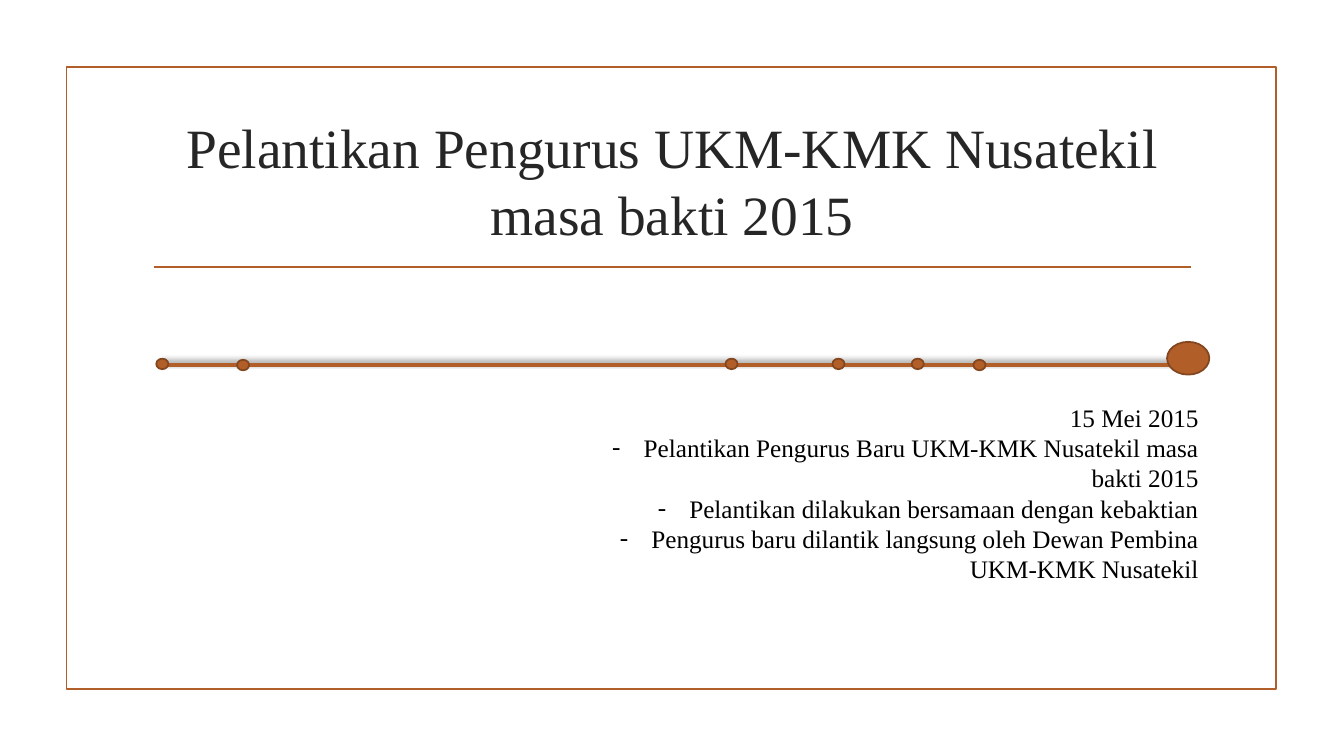
from lxml import etree
from pptx import Presentation
from pptx.dml.color import RGBColor
from pptx.enum.shapes import MSO_CONNECTOR, MSO_SHAPE
from pptx.enum.text import MSO_ANCHOR, PP_ALIGN
from pptx.oxml.ns import qn
from pptx.util import Pt

STRAIGHT = MSO_CONNECTOR.STRAIGHT
RECTANGLE = MSO_SHAPE.RECTANGLE
DOT = MSO_SHAPE.FLOWCHART_CONNECTOR
MIDDLE, TOP = MSO_ANCHOR.MIDDLE, MSO_ANCHOR.TOP
CENTER, RIGHT = PP_ALIGN.CENTER, PP_ALIGN.RIGHT

FONT = "Times New Roman"
RUST = RGBColor(0xB1, 0x5E, 0x28)
DARK_RUST = RGBColor(0x83, 0x46, 0x1E)
CHARCOAL = RGBColor(0x26, 0x26, 0x26)
BLACK = RGBColor(0, 0, 0)

# Content
TITLE = "Pelantikan Pengurus UKM-KMK Nusatekil masa bakti 2015"
DATE = "15 Mei 2015"
EVENTS = [
    "Pelantikan Pengurus Baru UKM-KMK Nusatekil masa bakti 2015",
    "Pelantikan dilakukan bersamaan dengan kebaktian",
    "Pengurus baru dilantik langsung oleh Dewan Pembina UKM-KMK Nusatekil",
]

# Timeline markers: left, top, width, height
DOT_SIZE = (8.64, 7.5)
DOT_STARTS = [(111.6, 256.2), (594.6, 256.2), (845.3, 256.2), (518.2, 256.2),
              (169.3, 257), (651.2, 256.2), (695.3, 257)]
MARKERS = [start + DOT_SIZE for start in DOT_STARTS]
MARKERS.append((833.6, 244.2, 30.2, 23.4))  # current event

prs = Presentation()
prs.slide_width, prs.slide_height = Pt(960), Pt(540)
slide = prs.slides.add_slide(prs.slide_layouts[6])
shapes = slide.shapes


def add_outlined(kind, box, line_color, fill_color=None):
    shape = shapes.add_shape(kind, *map(Pt, box))
    shape.shadow.inherit = False
    if fill_color is None:
        shape.fill.background()
    else:
        shape.fill.solid()
        shape.fill.fore_color.rgb = fill_color
    shape.line.color.rgb = line_color
    shape.line.width = Pt(1.25)


def add_rule(left, right, y, width):
    """Draw a horizontal line and return its empty effect list."""
    rule = shapes.add_connector(STRAIGHT, Pt(left), Pt(y), Pt(right), Pt(y))
    rule.line.color.rgb = RUST
    rule.line.width = Pt(width)
    return etree.SubElement(rule._element.spPr, qn("a:effectLst"))


def add_frame(box, anchor):
    frame = shapes.add_textbox(*map(Pt, box)).text_frame
    frame.word_wrap = True
    frame.vertical_anchor = anchor
    return frame


def write(paragraph, text, size, color, align):
    paragraph.alignment = align
    run = paragraph.add_run()
    run.text = text
    run.font.name = FONT
    run.font.size = Pt(size)
    run.font.color.rgb = color


# Border and title
add_outlined(RECTANGLE, (47.6, 48, 864, 444.2), RUST)
add_rule(110.2, 850.5, 190.8, 1.25)
title = add_frame((102.2, 77, 756, 103), MIDDLE)
write(title.paragraphs[0], TITLE, 39.6, CHARCOAL, CENTER)

# Timeline with a soft shadow above it
effects = add_rule(116.6, 849, 260.8, 3)
shadow = etree.SubElement(effects, qn("a:outerShdw"), blurRad=str(Pt(4)),
                          dist=str(Pt(3)), dir=str(270 * 60000),
                          rotWithShape="0")
tint = etree.SubElement(shadow, qn("a:srgbClr"), val=str(BLACK))
etree.SubElement(tint, qn("a:alpha"), val="40000")
for marker in MARKERS:
    add_outlined(DOT, marker, DARK_RUST, RUST)

# Date and dashed list of events
details = add_frame((416.9, 283.7, 446.4, 138.2), TOP)
write(details.paragraphs[0], DATE, 18, BLACK, RIGHT)
for event in EVENTS:
    paragraph = details.add_paragraph()
    write(paragraph, event, 18, BLACK, RIGHT)
    properties = paragraph._p.get_or_add_pPr()
    properties.set("marL", str(Pt(22.5)))
    properties.set("indent", str(-Pt(22.5)))
    etree.SubElement(properties, qn("a:buFont"), typeface=FONT)
    etree.SubElement(properties, qn("a:buChar"), char="-")

prs.save("out.pptx")
